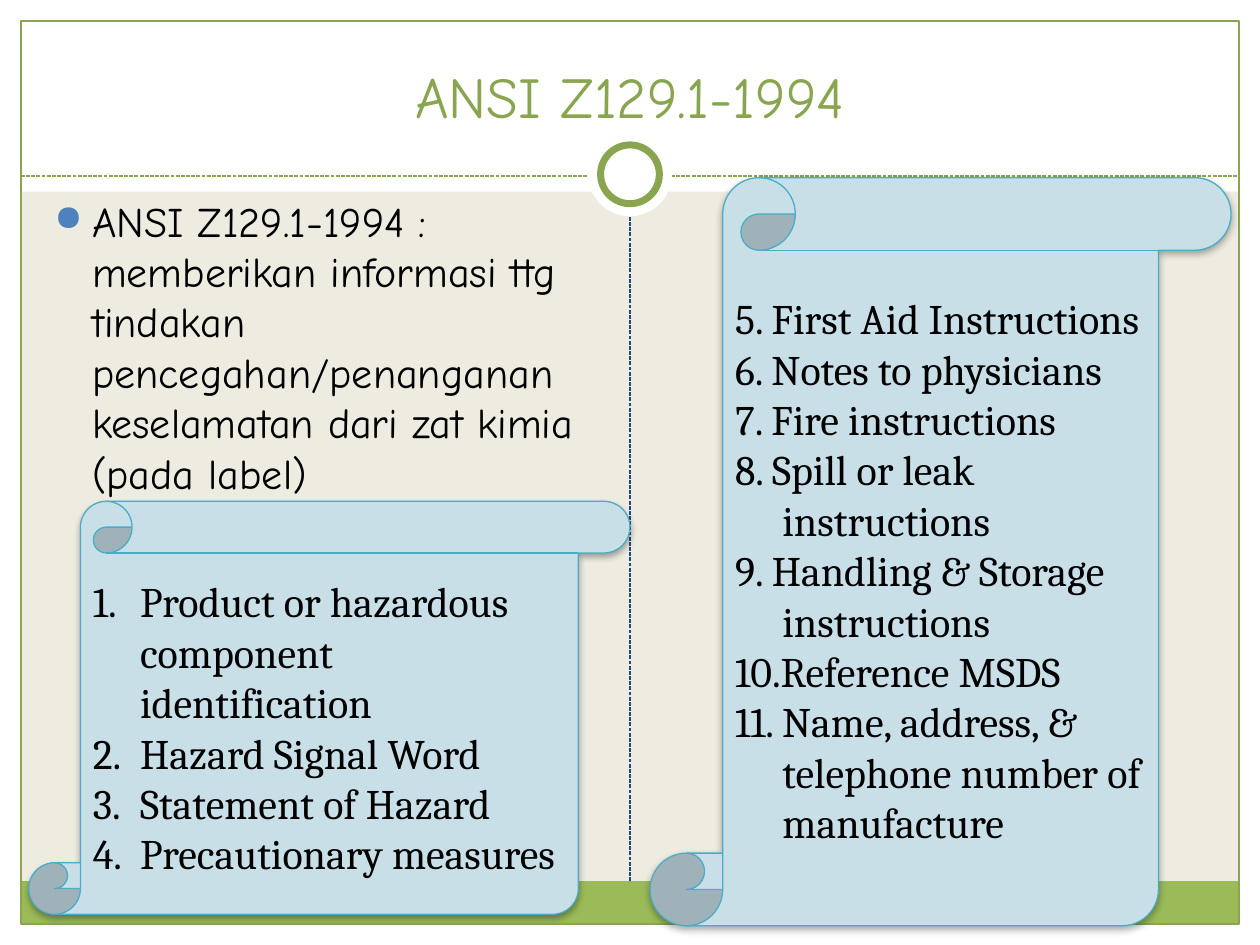
from lxml.etree import SubElement
from pptx import Presentation
from pptx.dml.color import RGBColor
from pptx.enum.dml import MSO_LINE
from pptx.enum.shapes import MSO_CONNECTOR, MSO_SHAPE
from pptx.enum.text import MSO_ANCHOR, PP_ALIGN
from pptx.oxml.ns import qn
from pptx.util import Pt

WHITE = RGBColor(0xFF, 0xFF, 0xFF)
BLACK = RGBColor(0, 0, 0)
CREAM = RGBColor(0xEE, 0xEC, 0xE1)
GREEN = RGBColor(0x9B, 0xBB, 0x59)
OLIVE = RGBColor(0x89, 0xA5, 0x4F)
NAVY = RGBColor(0x1F, 0x49, 0x7D)
PALE = RGBColor(0xC9, 0xDF, 0xE8)
TEAL = RGBColor(0x4B, 0xAC, 0xC6)

WIDE, HIGH, EDGE = 720, 540, 12
HAND, SERIF = "Comic Neue", "Cambria"

LEFT = [
    "Product or hazardous component identification",
    "Hazard Signal Word",
    "Statement of Hazard",
    "Precautionary measures",
]
RIGHT = [
    "5. First Aid Instructions",
    "6. Notes to physicians",
    "7. Fire instructions",
    "8. Spill or leak instructions",
    "9. Handling & Storage instructions",
    "10.Reference MSDS",
    "11. Name, address, & telephone number of manufacture",
]


def add_shape(slide, kind, box, fill=None, line=None, width=0.75):
    shape = slide.shapes.add_shape(kind, *map(Pt, box))
    shape.shadow.inherit = False
    if fill is None:
        shape.fill.background()
    else:
        shape.fill.solid()
        shape.fill.fore_color.rgb = fill
    if line is None:
        shape.line.fill.background()
    else:
        shape.line.color.rgb = line
        shape.line.width = Pt(width)
    return shape


def add_dash(slide, start, end, color):
    line = slide.shapes.add_connector(
        MSO_CONNECTOR.STRAIGHT, *map(Pt, (*start, *end)))
    line.line.color.rgb = color
    line.line.width = Pt(0.75)
    line.line.dash_style = MSO_LINE.SQUARE_DOT
    SubElement(line._element.spPr, qn("a:effectLst"))
    return line


def add_bullet(props, mark):
    """Number the paragraph, or give it a blue dot."""
    if mark == "number":
        SubElement(props, qn("a:buFont"), typeface="+mj-lt")
        SubElement(props, qn("a:buAutoNum"), type="arabicPeriod")
    elif mark == "dot":
        color = SubElement(props, qn("a:buClr"))
        SubElement(color, qn("a:srgbClr"), val="4F81BD")
        SubElement(props, qn("a:buSzPct"), val="85000")
        SubElement(props, qn("a:buChar"), char="●")


def put_text(shape, lines, font=SERIF, size=24, color=BLACK,
             align=PP_ALIGN.LEFT, anchor=MSO_ANCHOR.MIDDLE,
             indent=0, mark=None, top=3.6):
    frame = shape.text_frame
    frame.word_wrap = True
    frame.vertical_anchor = anchor
    frame.margin_top = Pt(top)
    for i, line in enumerate(lines):
        para = frame.paragraphs[0] if i == 0 else frame.add_paragraph()
        para.alignment = align
        run = para.add_run()
        run.text = line
        run.font.name = font
        run.font.size = Pt(size)
        run.font.color.rgb = color
        props = para._p.get_or_add_pPr()
        if indent:
            props.set("marL", str(Pt(indent)))
            props.set("indent", str(-Pt(indent)))
        add_bullet(props, mark)


def add_scroll(slide, box, lines, **style):
    """Add a paper scroll with a soft shadow below it."""
    scroll = add_shape(slide, MSO_SHAPE.VERTICAL_SCROLL, box, PALE, TEAL)
    effects = scroll._element.spPr.find(qn("a:effectLst"))
    shade = SubElement(effects, qn("a:outerShdw"), blurRad=str(Pt(4)),
                       dist=str(Pt(2)), dir="5400000", rotWithShape="0")
    color = SubElement(shade, qn("a:srgbClr"), val="000000")
    SubElement(color, qn("a:alpha"), val="35000")
    put_text(scroll, lines, indent=27, **style)


def add_frame(slide):
    """Draw the white margins, green band, border, ring and dashed lines."""
    rect, oval = MSO_SHAPE.RECTANGLE, MSO_SHAPE.OVAL
    inner = WIDE - 2 * EDGE
    for box in ((0, HIGH - EDGE, WIDE, EDGE), (0, 0, WIDE, 109.5),
                (0, 0, EDGE, HIGH), (WIDE - EDGE, 0, EDGE, HIGH)):
        add_shape(slide, rect, box, WHITE)
    band = add_shape(slide, rect, (EDGE, 503.5, inner, 24.5), GREEN)
    add_shape(slide, rect, (EDGE, EDGE, inner, HIGH - 2 * EDGE), line=OLIVE)
    add_dash(slide, (EDGE, 100.6), (WIDE - EDGE, 100.6), OLIVE)
    add_shape(slide, oval, (336, 75.6, 48, 48), WHITE)
    add_shape(slide, oval, (343.2, 82.8, 33.6, 33.6), WHITE, OLIVE, 4)
    split = add_dash(slide, (360, 503.5), (360, 123.6), NAVY)
    split.begin_connect(band, 0)


def main():
    deck = Presentation()
    deck.slide_width, deck.slide_height = Pt(WIDE), Pt(HIGH)
    slide = deck.slides.add_slide(deck.slide_layouts[6])
    slide.background.fill.solid()
    slide.background.fill.fore_color.rgb = CREAM
    add_frame(slide)

    title = slide.shapes.add_textbox(*map(Pt, (24, 18, 672, 60)))
    put_text(title, ["ANSI Z129.1-1994"], font=HAND, size=33, color=OLIVE,
             align=PP_ALIGN.CENTER, anchor=MSO_ANCHOR.BOTTOM)
    body = slide.shapes.add_textbox(*map(Pt, (24, 108, 318, 432)))
    put_text(body, ["ANSI Z129.1-1994 : memberikan informasi ttg tindakan "
                    "pencegahan/penanganan keselamatan dari zat kimia "
                    "(pada label)"],
             font=HAND, anchor=MSO_ANCHOR.TOP, indent=21.6, mark="dot")

    add_scroll(slide, (16.5, 286.5, 343.5, 236), LEFT, mark="number", top=10.8)
    add_scroll(slide, (371.5, 101.5, 332, 427.5), RIGHT)
    deck.save("out.pptx")


if __name__ == "__main__":
    main()
